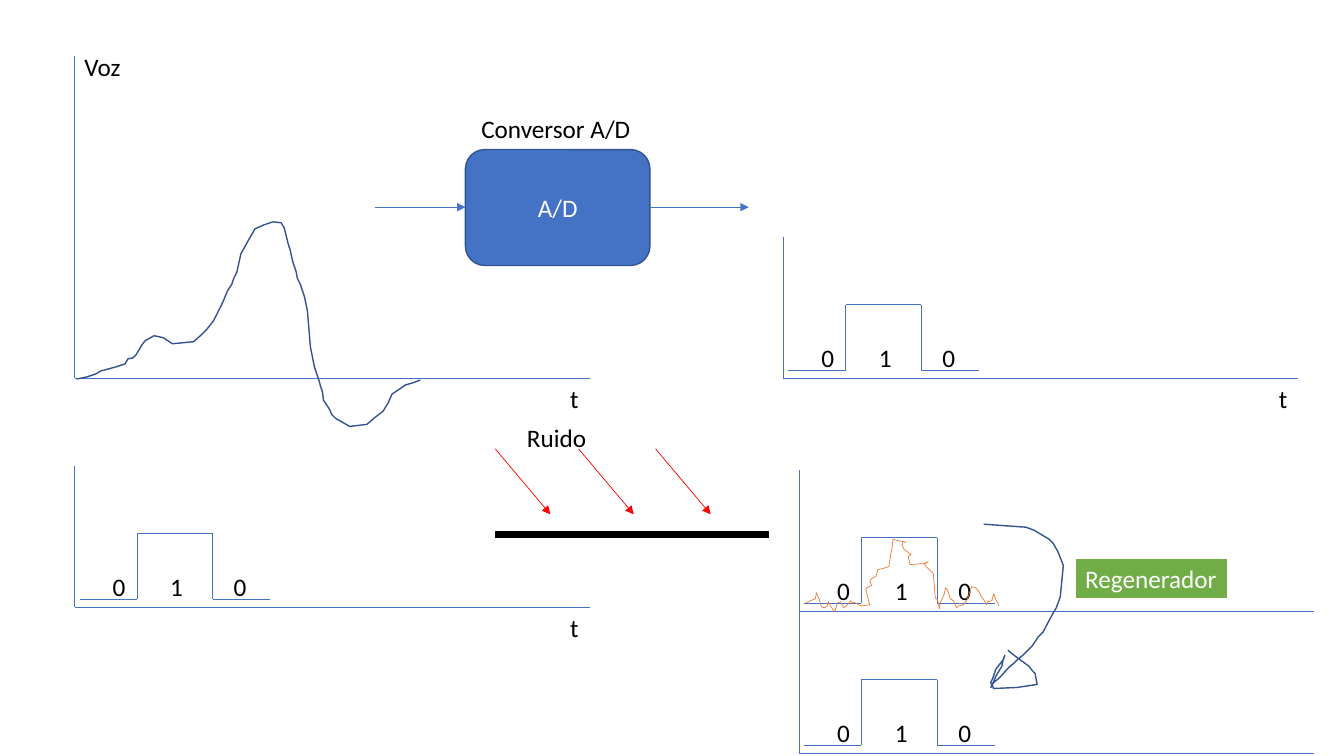
from itertools import pairwise

from lxml.etree import SubElement
from pptx import Presentation
from pptx.dml.color import RGBColor
from pptx.enum.shapes import MSO_CONNECTOR, MSO_SHAPE
from pptx.enum.text import MSO_ANCHOR, PP_ALIGN
from pptx.oxml.ns import qn
from pptx.util import Cm, Pt

BLUE, NAVY, GREEN, ORANGE = "4472C4", "325491", "70AD47", "ED7D31"
RED, BLACK, WHITE = "FF0000", "000000", "FFFFFF"
TEXT_HEIGHT = 1.03
STROKE_UNIT = Cm(0.0254)

VOICE = [
    (0, 156), (10, 154), (19, 151), (24, 148), (39, 144), (48, 141), (51, 136), (56, 135),
    (59, 132), (65, 122), (68, 118), (77, 113), (86, 115), (95, 121), (116, 119), (124, 112),
    (129, 107), (136, 98), (142, 86), (145, 80), (150, 68), (154, 62), (156, 56), (159, 50),
    (163, 32), (169, 21), (177, 7), (186, 3), (195, 0), (203, 1), (206, 6), (209, 18),
    (210, 22), (212, 28), (213, 33), (215, 41), (218, 50), (219, 56), (222, 62), (226, 74),
    (229, 88), (232, 124), (236, 144), (238, 150), (241, 159), (242, 163), (244, 169),
    (245, 177), (251, 186), (253, 191), (257, 195), (271, 203), (288, 201), (295, 195),
    (304, 188), (309, 180), (313, 171), (322, 165), (326, 162), (333, 160), (341, 157),
]
NOISE = [
    (0, 63), (4, 61), (9, 59), (10, 53), (13, 60), (15, 67), (18, 68), (21, 66), (22, 62),
    (24, 66), (28, 72), (30, 66), (31, 63), (34, 62), (37, 68), (40, 66), (44, 61), (46, 63),
    (49, 63), (52, 65), (55, 66), (63, 65), (62, 62), (59, 49), (62, 47), (65, 46), (63, 41),
    (66, 38), (69, 37), (71, 30), (76, 29), (82, 27), (84, 13), (85, 10), (86, 0), (99, 3),
    (96, 2), (95, 6), (97, 10), (104, 15), (101, 17), (103, 25), (118, 24), (121, 22),
    (117, 24), (119, 27), (123, 31), (126, 34), (128, 58), (130, 60), (131, 63), (132, 69),
    (133, 63), (137, 54), (138, 48), (140, 50), (143, 59), (146, 61), (149, 68), (151, 66),
    (156, 65), (160, 59), (164, 47), (168, 48), (172, 53), (173, 56), (176, 60), (179, 65),
    (180, 62), (184, 61), (186, 54), (188, 60), (190, 63), (191, 66),
]
CURVED_ARROW = [
    (0, 0), (42, 3), (50, 6), (65, 15), (69, 19), (74, 28), (79, 41), (76, 72), (72, 83),
    (69, 88), (62, 101), (59, 107), (54, 112), (48, 121), (39, 130), (35, 133), (30, 138),
    (26, 141), (15, 153), (10, 157), (7, 162), (10, 156), (12, 151), (18, 141), (19, 136),
    (21, 130), (19, 135), (12, 144), (9, 153), (7, 157), (10, 163), (33, 162), (53, 159),
    (51, 148), (48, 145), (45, 141), (30, 130), (24, 125),
]


def rgb(color):
    return RGBColor.from_string(color)


def add_line(slide, start, end, color=BLUE, width=0.5, arrow=False):
    sp = slide.shapes.add_connector(MSO_CONNECTOR.STRAIGHT, *map(Cm, (*start, *end)))
    sp.line.color.rgb = rgb(color)
    sp.line.width = Pt(width)
    if arrow:
        SubElement(sp.line._get_or_add_ln(), qn("a:tailEnd"), type="triangle")
    SubElement(sp._element.spPr, qn("a:effectLst"))


def add_stroke(slide, left, top, points, color, width):
    builder = slide.shapes.build_freeform(*points[0], scale=STROKE_UNIT)
    builder.add_line_segments(points[1:], close=False)
    sp = builder.convert_to_shape(Cm(left), Cm(top))
    sp.shadow.inherit = False
    sp.fill.background()
    sp.line.color.rgb = rgb(color)
    sp.line.width = Pt(width)


def write(sp, text, color, align=PP_ALIGN.LEFT, wrap=False):
    tf = sp.text_frame
    tf.word_wrap = wrap
    p = tf.paragraphs[0]
    p.text = text
    p.alignment = align
    p.font.name = "Calibri"
    p.font.size = Pt(18)
    p.font.color.rgb = rgb(color)


def add_label(slide, text, left, top, width, wrap=False):
    sp = slide.shapes.add_textbox(Cm(left), Cm(top), Cm(width), Cm(TEXT_HEIGHT))
    write(sp, text, BLACK, wrap=wrap)


def add_block(slide, kind, box, text, fill, line, width, align):
    sp = slide.shapes.add_shape(kind, *map(Cm, box))
    sp.shadow.inherit = False
    sp.fill.solid()
    sp.fill.fore_color.rgb = rgb(fill)
    sp.line.color.rgb = rgb(line)
    sp.line.width = Pt(width)
    sp.text_frame.vertical_anchor = MSO_ANCHOR.MIDDLE
    write(sp, text, WHITE, align)


def draw_axes(slide, left, top, width, height, time_label=True):
    bottom = top + height
    add_line(slide, (left, top), (left, bottom))
    add_line(slide, (left, bottom), (left + width, bottom))
    if time_label:
        add_label(slide, "t", left + width - 0.74, bottom, 0.74)


def draw_voice(slide, left, top, width, height):
    draw_axes(slide, left, top, width, height)
    add_stroke(slide, left + 0.05, top + height - 3.94, VOICE, NAVY, 1)
    add_label(slide, "Voz", left, top - 0.23, 1.42)


def draw_bits(slide, left, top, width, height, time_label=True):
    draw_axes(slide, left, top, width, height, time_label)
    bottom = top + height
    low, high = bottom - 0.2, bottom - 1.85
    start, rise, fall, end = (left + dx for dx in (0.13, 1.57, 3.48, 4.93))
    pulse = [(start, low), (rise, low), (rise, high), (fall, high), (fall, low), (end, low)]
    for a, b in pairwise(pulse):
        add_line(slide, a, b)
    for bit, dx in zip("010", (0.71, 2.16, 3.76)):
        add_label(slide, bit, left + dx, bottom - 1.02, 0.84)


def draw_converter(slide, left, top, width, height):
    middle, right = top + 1.45, left + width
    add_block(slide, MSO_SHAPE.ROUNDED_RECTANGLE, (left, top, width, height), "A/D",
              BLUE, NAVY, 1, PP_ALIGN.CENTER)
    add_line(slide, (left - 2.29, middle), (left, middle), arrow=True)
    add_line(slide, (right, middle), (right + 2.49, middle), arrow=True)
    add_label(slide, "Conversor A/D", left + 0.15, top - 1.04, 4.32)


def draw_channel(slide, left, top, width, height):
    bottom = top + height
    add_line(slide, (left, bottom), (left + width, bottom), BLACK, 5)
    for dx in (0, 2.1, 4.04):
        x = left + dx
        add_line(slide, (x, top), (x + 1.39, top + 1.65), RED, arrow=True)
    add_label(slide, "Ruido", left + 0.55, top - 0.79, 2.64, wrap=True)


def draw_regenerator(slide, left, top, width, height):
    add_stroke(slide, left, top, CURVED_ARROW, NAVY, 1)
    box = (left + width - 3.86, top + 0.86, 3.86, TEXT_HEIGHT)
    add_block(slide, MSO_SHAPE.RECTANGLE, box, "Regenerador", GREEN, WHITE, 1.5, PP_ALIGN.LEFT)


def main():
    prs = Presentation()
    prs.slide_width, prs.slide_height = Cm(33.87), Cm(19.05)
    slide = prs.slides.add_slide(prs.slide_layouts[6])
    axis_width, bits_height = 12.98, 3.55

    draw_voice(slide, 1.88, 1.4, axis_width, 8.13)
    draw_converter(slide, 11.73, 3.77, 4.65, 2.92)
    draw_bits(slide, 19.74, 5.98, axis_width, bits_height)
    draw_bits(slide, 1.88, 11.75, axis_width, bits_height)
    draw_channel(slide, 12.48, 11.31, 6.9, 2.16)
    draw_bits(slide, 20.14, 11.85, axis_width, bits_height, time_label=False)
    add_stroke(slide, 20.32, 13.59, NOISE, ORANGE, 0.5)
    draw_bits(slide, 20.14, 15.43, axis_width, bits_height, time_label=False)
    draw_regenerator(slide, 24.79, 13.21, 6.17, 4.17)
    prs.save("out.pptx")


if __name__ == "__main__":
    main()
